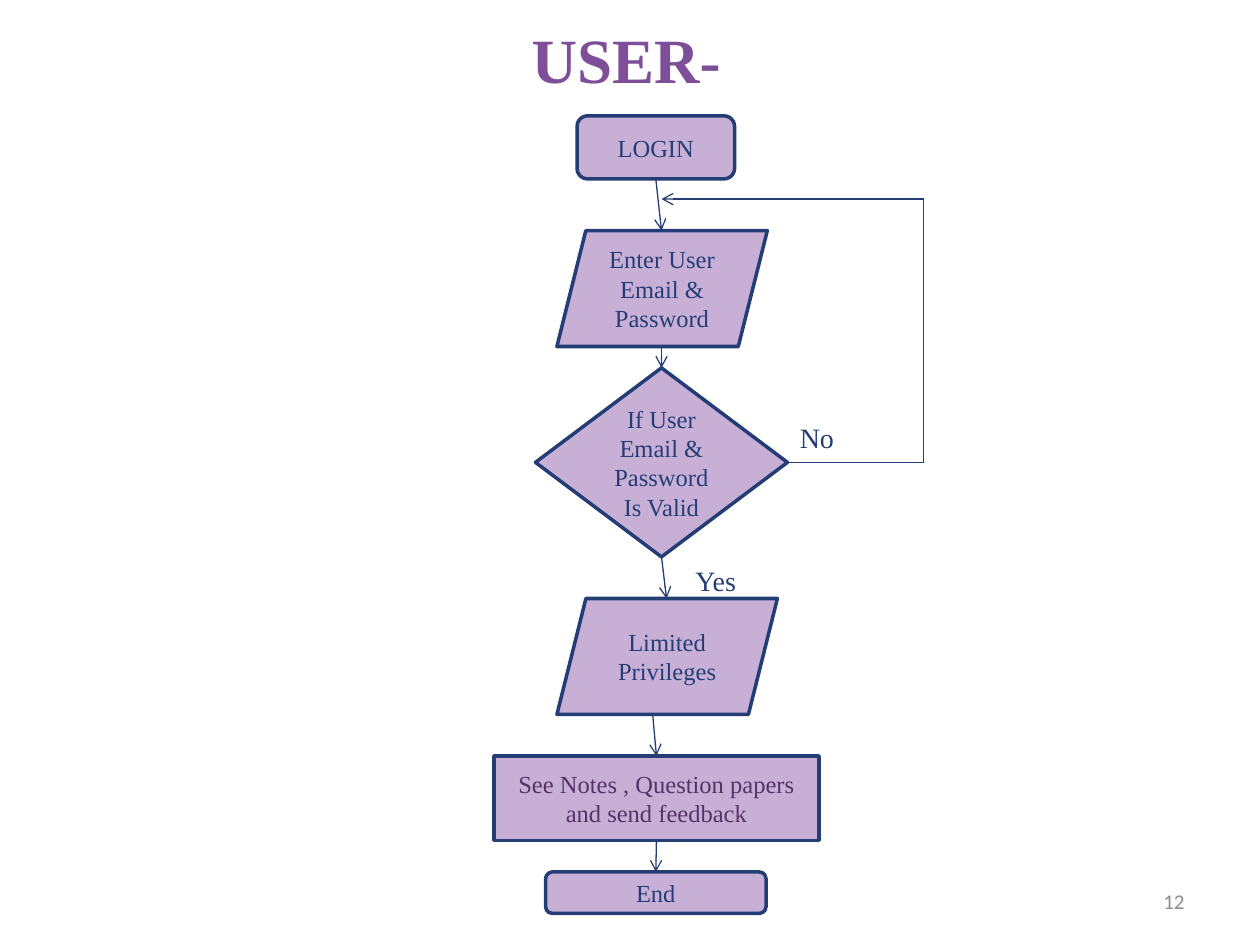
from lxml import etree
from pptx import Presentation
from pptx.dml.color import RGBColor
from pptx.enum.shapes import MSO_CONNECTOR, MSO_SHAPE
from pptx.enum.text import MSO_ANCHOR, PP_ALIGN
from pptx.oxml.ns import qn
from pptx.util import Inches, Pt

NAVY = RGBColor(0x25, 0x3D, 0x75)
LILAC = RGBColor(0xC8, 0xAF, 0xD6)
PLUM = RGBColor(0x54, 0x34, 0x66)
PURPLE = RGBColor(0x7E, 0x4E, 0x99)
GRAY = RGBColor(0x8C, 0x8C, 0x8C)
SERIF = "Times New Roman"
LEFT, CENTER, RIGHT = PP_ALIGN.LEFT, PP_ALIGN.CENTER, PP_ALIGN.RIGHT
TOP, MIDDLE = MSO_ANCHOR.TOP, MSO_ANCHOR.MIDDLE
STRAIGHT = MSO_CONNECTOR.STRAIGHT
PILL = MSO_SHAPE.FLOWCHART_ALTERNATE_PROCESS
SLANT = MSO_SHAPE.PARALLELOGRAM
DIAMOND = MSO_SHAPE.DIAMOND
RECT = MSO_SHAPE.RECTANGLE
ROUND = MSO_SHAPE.ROUNDED_RECTANGLE


def write(shape, text, size, color, align=CENTER, anchor=MIDDLE, face=SERIF):
    frame = shape.text_frame
    frame.text = text
    frame.word_wrap = True
    frame.vertical_anchor = anchor
    para = frame.paragraphs[0]
    para.alignment = align
    font = para.runs[0].font
    font.name, font.size = face, Pt(size)
    font.color.rgb = color
    return font


def connect(x1, y1, x2, y2, arrow=True):
    line = slide.shapes.add_connector(
        STRAIGHT, Inches(x1), Inches(y1), Inches(x2), Inches(y2))
    line.line.color.rgb = NAVY
    line.line.width = Pt(0.75)
    if arrow:
        tail = etree.SubElement(line.line._get_or_add_ln(), qn("a:tailEnd"))
        tail.set("type", "arrow")
    etree.SubElement(line._element.spPr, qn("a:effectLst"))
    return line


prs = Presentation()
prs.slide_width, prs.slide_height = Inches(10), Inches(7.5)
slide = prs.slides.add_slide(prs.slide_layouts[5])

# Title
title = slide.shapes.title
title.left, title.top = Inches(0.92), Inches(0.17)
title.width, title.height = Inches(8.1), Inches(0.58)
write(title, "USER-", 36, PURPLE).bold = True

# Branch labels and page number
labels = [
    ("12", 7.17, 6.95, 2.33, 0.4, 12, GRAY, RIGHT, MIDDLE, "Calibri"),
    ("No", 6.25, 3.25, 0.5, 0.44, 16, NAVY, LEFT, MIDDLE, SERIF),
    ("Yes", 5.42, 4.42, 1.41, 0.58, 16, NAVY, LEFT, TOP, SERIF),
]
for text, x, y, w, h, *style in labels:
    box = slide.shapes.add_textbox(Inches(x), Inches(y), Inches(w), Inches(h))
    write(box, text, *style)

# Flowchart steps, from top to bottom
steps = [
    (PILL, "LOGIN", 4.58, 0.92, 1.25, 0.5, NAVY),
    (SLANT, "Enter User Email & Password", 4.42, 1.83, 1.67, 0.92, NAVY),
    (DIAMOND, "If User Email & Password Is Valid", 4.25, 2.92, 2, 1.5, NAVY),
    (SLANT, "Limited Privileges", 4.42, 4.75, 1.75, 0.92, NAVY),
    (RECT, "See Notes , Question papers and send feedback",
     3.92, 6, 2.58, 0.67, PLUM),
    (ROUND, "End", 4.33, 6.92, 1.75, 0.33, NAVY),
]
nodes = []
for kind, text, x, y, w, h, color in steps:
    node = slide.shapes.add_shape(
        kind, Inches(x), Inches(y), Inches(w), Inches(h))
    node.shadow.inherit = False
    node.fill.solid()
    node.fill.fore_color.rgb = LILAC
    node.line.color.rgb = NAVY
    node.line.width = Pt(2)
    write(node, text, 14, color)
    nodes.append(node)
login, enter, check, limit, notes, end = nodes

# Arrows between steps; slanted boxes are met at plain points
connect(5.21, 1.42, 5.25, 1.83).begin_connect(login, 2)
connect(5.25, 2.75, 5.25, 2.92).end_connect(check, 0)
connect(5.25, 4.42, 5.29, 4.75).begin_connect(check, 2)
connect(5.18, 5.67, 5.21, 6).end_connect(notes, 0)
last = connect(5.21, 6.67, 5.21, 6.92)
last.begin_connect(notes, 2)
last.end_connect(end, 0)

# Loop back when the login is not valid
connect(6.25, 3.67, 7.33, 3.67, False).begin_connect(check, 3)
connect(7.33, 3.67, 7.33, 1.58, False)
connect(7.33, 1.58, 5.25, 1.58)

prs.save("out.pptx")
